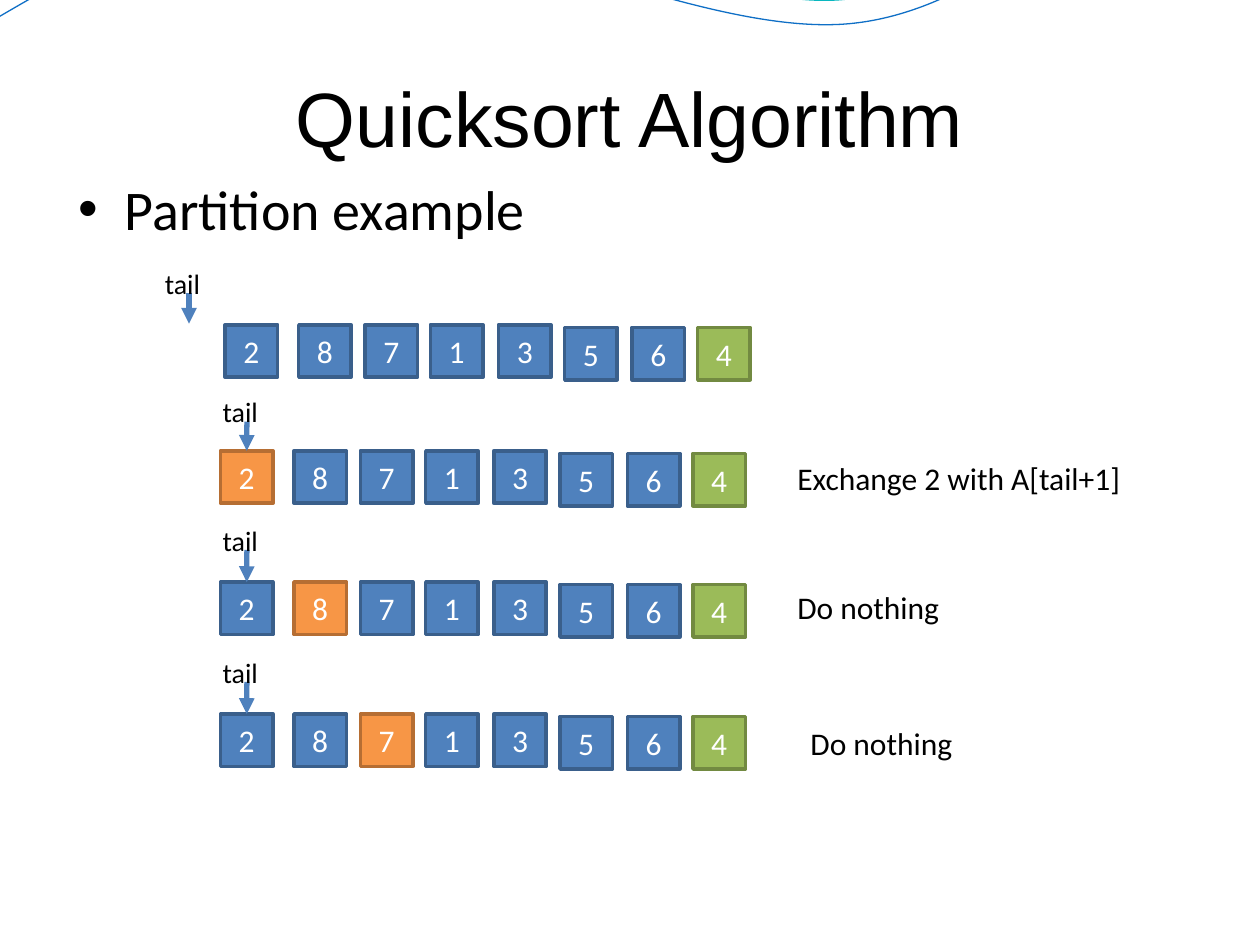
import math
from dataclasses import dataclass

import lxml.etree
import pptx
import pptx.dml.color
import pptx.enum.shapes
import pptx.enum.text
import pptx.oxml.ns
import pptx.shapes.autoshape
import pptx.shapes.base
import pptx.slide
import pptx.text.text
import pptx.util

Pt = pptx.util.Pt
qn = pptx.oxml.ns.qn
ANCHOR = pptx.enum.text.MSO_ANCHOR
AUTO_SIZE = pptx.enum.text.MSO_AUTO_SIZE
CENTER = pptx.enum.text.PP_ALIGN.CENTER

COLORS = {
    "text": "000000",
    "digit": "FFFFFF",
    "plain": "4F81BD",
    "plain_edge": "3A5F8B",
    "current": "F79646",
    "current_edge": "B66E33",
    "pivot": "9BBB59",
    "pivot_edge": "728A41",
    "teal_wave": "09B7BF",
    "blue_wave": "0F6FC6",
}

VALUES = "28713564"
CELL_OFFSETS = (0, 42, 80, 117.3, 156.2, 194, 232.5, 270)
CELL_SIZE = 30
LOWERED_FROM = 5
LOWERED_BY = 1.5
PIVOT_INDEX = len(VALUES) - 1
WAVE_TILT = -3


@dataclass
class Step:
    left: float
    top: float
    tail_x: float
    tail_top: float
    current: int | None = None
    caption: str = ""
    caption_left: float = 448.5
    caption_top: float = 0


@dataclass
class Wave:
    color: str
    weight: float
    frame: tuple[float, float, float, float]
    start: tuple[float, float]
    curves: list[tuple[tuple[float, float], ...]]


STEPS = [
    Step(128.7, 185.6, 108, 148.5),
    Step(126, 257.6, 141.1, 222.2, 0, "Exchange 2 with A[tail+1]", caption_top=258.5),
    Step(126, 332.6, 141.1, 295.5, 1, "Do nothing", caption_top=332.5),
    Step(126, 408, 141.1, 371, 2, "Do nothing", 456, 410.2),
]

WAVES = [
    Wave("teal_wave", 0.85, (-35.3, -136.1, 780.5, 353.5), (-36.7, 20.2), [
        ((-2.9, -13.7), (75.6, -82.8), (162.7, -86.4)),
        ((249.8, -90), (398.2, 10.8), (486, -0.8)),
        ((573.8, -12.2), (647.3, -122.4), (689.8, -154.1)),
    ]),
    Wave("blue_wave", 0.75, (-34.6, -95, 781.9, 288), (-36, 28.8), [
        ((-2.2, 15.1), (80.6, -50.4), (168.5, -52.6)),
        ((255.6, -55.4), (401, 23.3), (488.2, 13.3)),
        ((575.3, 3.6), (648.7, -86.4), (691.2, -112.3)),
    ]),
]


def rgb(name: str) -> pptx.dml.color.RGBColor:
    return pptx.dml.color.RGBColor.from_string(COLORS[name])


def place(shape: pptx.shapes.base.BaseShape, left: float, top: float,
          width: float, height: float) -> None:
    shape.left, shape.top = Pt(left), Pt(top)
    shape.width, shape.height = Pt(width), Pt(height)


def format_text(paragraph: pptx.text.text._Paragraph, size: float,
                color: str = "text", font: str = "Calibri") -> None:
    for run in paragraph.runs:
        run.font.name = font
        run.font.size = Pt(size)
        run.font.color.rgb = rgb(color)


def draw_wave(slide: pptx.slide.Slide, wave: Wave) -> None:
    builder = slide.shapes.build_freeform(*(Pt(value) for value in wave.start))
    builder.add_line_segments(
        [tuple(Pt(value) for value in curve[-1]) for curve in wave.curves],
        close=False)
    ribbon = builder.convert_to_shape()
    ribbon.shadow.inherit = False
    ribbon.fill.background()
    ribbon.line.color.rgb = rgb(wave.color)
    ribbon.line.width = Pt(wave.weight)
    place(ribbon, *wave.frame)
    ribbon.rotation = WAVE_TILT

    left, top, width, height = wave.frame
    cosine = math.cos(math.radians(-WAVE_TILT))
    sine = math.sin(math.radians(-WAVE_TILT))
    outline = ribbon._element.find(f".//{qn('a:path')}")
    outline.set("w", str(Pt(width)))
    outline.set("h", str(Pt(height)))
    for segment in list(outline):
        outline.remove(segment)
    for tag, points in [("a:moveTo", (wave.start,)),
                        *(("a:cubicBezTo", curve) for curve in wave.curves)]:
        segment = lxml.etree.SubElement(outline, qn(tag))
        for x, y in points:
            dx, dy = x - left - width / 2, y - top - height / 2
            lxml.etree.SubElement(
                segment, qn("a:pt"),
                x=str(Pt(width / 2 + dx * cosine - dy * sine)),
                y=str(Pt(height / 2 + dx * sine + dy * cosine)))


def draw_cell(slide: pptx.slide.Slide, left: float, top: float, value: str,
              role: str) -> pptx.shapes.autoshape.Shape:
    cell = slide.shapes.add_shape(
        pptx.enum.shapes.MSO_SHAPE.RECTANGLE,
        Pt(left), Pt(top), Pt(CELL_SIZE), Pt(CELL_SIZE))
    cell.shadow.inherit = False
    cell.fill.solid()
    cell.fill.fore_color.rgb = rgb(role)
    cell.line.color.rgb = rgb(f"{role}_edge")
    cell.line.width = Pt(2)
    cell.text_frame.text = value
    cell.text_frame.vertical_anchor = ANCHOR.MIDDLE
    digit = cell.text_frame.paragraphs[0]
    digit.alignment = CENTER
    format_text(digit, 18, "digit")
    return cell


def draw_label(slide: pptx.slide.Slide, left: float, top: float, width: float,
               height: float, text: str, size: float) -> None:
    label = slide.shapes.add_textbox(Pt(left), Pt(top), Pt(width), Pt(height))
    label.text_frame.word_wrap = True
    label.text_frame.auto_size = AUTO_SIZE.SHAPE_TO_FIT_TEXT
    label.text_frame.text = text
    format_text(label.text_frame.paragraphs[0], size)


def draw_tail(slide: pptx.slide.Slide, step: Step,
              first_cell: pptx.shapes.autoshape.Shape) -> None:
    arrow = slide.shapes.add_connector(
        pptx.enum.shapes.MSO_CONNECTOR.STRAIGHT,
        Pt(step.tail_x), Pt(step.tail_top + 18.7),
        Pt(step.tail_x), Pt(step.tail_top + 36.5))
    if step.tail_x > step.left:
        arrow.end_connect(first_cell, 0)
    arrow.line.color.rgb = rgb("plain")
    arrow.line.width = Pt(3)
    lxml.etree.SubElement(arrow.line._get_or_add_ln(), qn("a:tailEnd"),
                          type="triangle")
    lxml.etree.SubElement(arrow._element.spPr, qn("a:effectLst"))
    draw_label(slide, step.tail_x - 20.9, step.tail_top, 41, 26.6, "tail", 16)


def draw_step(slide: pptx.slide.Slide, step: Step) -> None:
    cells = []
    for index, (value, offset) in enumerate(zip(VALUES, CELL_OFFSETS)):
        role = ("current" if index == step.current
                else "pivot" if index == PIVOT_INDEX else "plain")
        drop = LOWERED_BY if index >= LOWERED_FROM else 0
        cells.append(draw_cell(slide, step.left + offset, step.top + drop,
                               value, role))
    draw_tail(slide, step, cells[0])
    if step.caption:
        draw_label(slide, step.caption_left, step.caption_top, 229, 29,
                   step.caption, 18)


def fill_placeholders(slide: pptx.slide.Slide) -> None:
    title = slide.shapes.title
    place(title, 36, 21.6, 648, 90)
    heading = title.text_frame
    heading.text = "Quicksort Algorithm"
    heading.auto_size = AUTO_SIZE.NONE
    heading.vertical_anchor = ANCHOR.MIDDLE
    heading.margin_left = heading.margin_right = 0
    heading.margin_top = heading.margin_bottom = 0
    heading.paragraphs[0].alignment = CENTER
    format_text(heading.paragraphs[0], 44, font="Arial")

    body = slide.placeholders[1]
    place(body, 37.5, 96, 648, 356.5)
    body.text_frame.text = "Partition example"
    body.text_frame.auto_size = AUTO_SIZE.NONE
    topic = body.text_frame.paragraphs[0]
    properties = topic._p.get_or_add_pPr()
    properties.set("marL", str(Pt(26.6)))
    properties.set("indent", str(Pt(-26.6)))
    lxml.etree.SubElement(properties, qn("a:buChar"), char="•")
    topic.space_before = Pt(0)
    format_text(topic, 32)


def main() -> None:
    presentation = pptx.Presentation()
    presentation.slide_width, presentation.slide_height = Pt(720), Pt(540)
    slide = presentation.slides.add_slide(presentation.slide_layouts[1])
    for wave in WAVES:
        draw_wave(slide, wave)
    fill_placeholders(slide)
    for step in STEPS:
        draw_step(slide, step)
    presentation.save("out.pptx")


if __name__ == "__main__":
    main()
